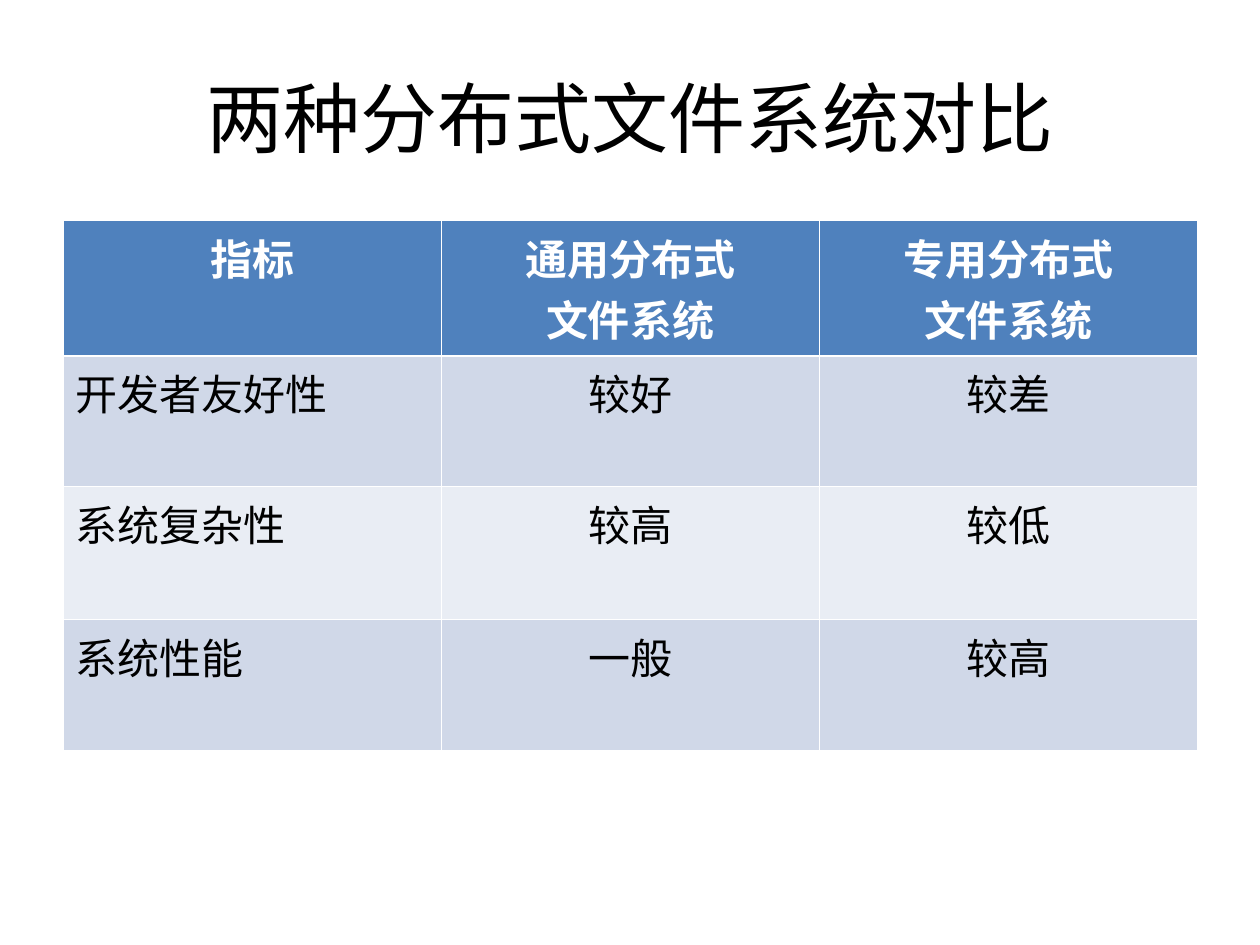
from lxml import etree
from pptx import Presentation
from pptx.dml.color import RGBColor
from pptx.enum.text import MSO_ANCHOR, PP_ALIGN
from pptx.oxml.ns import qn
from pptx.util import Cm, Pt

LEFT, MID = PP_ALIGN.LEFT, PP_ALIGN.CENTER
CENTER = MSO_ANCHOR.MIDDLE

# Content
TITLE = "两种分布式文件系统对比"
ROWS = [
    ["指标", "通用分布式\n文件系统", "专用分布式\n文件系统"],
    ["开发者友好性", "较好", "较差"],
    ["系统复杂性", "较高", "较低"],
    ["系统性能", "一般", "较高"],
]

# Look
FONT = "Calibri"
BLACK, WHITE = "000000", "FFFFFF"
HEAD, BANDS = "4F81BD", ("D0D8E8", "E9EDF4")
THIN, THICK = 0.45, 1.47

# Places in centimetres
SIDE, WIDE = 1.27, 22.86
TOP = 4.45
HEIGHTS = [2.72, 2.64, 2.67, 2.64]


def color(code):
    return RGBColor.from_string(code)


def write(frame, text, size=24, ink=BLACK, bold=False, align=MID):
    frame.text = text
    for para in frame.paragraphs:
        para.alignment = align
        for run in para.runs:
            font = run.font
            font.name, font.size, font.bold = FONT, Pt(size), bold
            font.color.rgb = color(ink)


def border(cell, **widths):
    props = cell._tc.get_or_add_tcPr()
    for side, width in widths.items():
        line = etree.SubElement(props, qn(f"a:ln{side}"), w=str(Pt(width)))
        fill = etree.SubElement(line, qn("a:solidFill"))
        etree.SubElement(fill, qn("a:srgbClr"), val=WHITE)


def main():
    deck = Presentation()
    deck.slide_width, deck.slide_height = Cm(25.4), Cm(19.05)
    slide = deck.slides.add_slide(deck.slide_layouts[5])

    # Title
    title = slide.shapes.title
    title.left, title.top = Cm(SIDE), Cm(0.76)
    title.width, title.height = Cm(WIDE), Cm(3.18)
    title.text_frame.vertical_anchor = CENTER
    write(title.text_frame, TITLE, size=44)

    # Table with a header row and banded rows
    table = slide.shapes.add_table(
        len(ROWS), len(ROWS[0]), Cm(SIDE), Cm(TOP), Cm(WIDE), Cm(sum(HEIGHTS))
    ).table
    for r, row in enumerate(ROWS):
        table.rows[r].height = Cm(HEIGHTS[r])
        head = r == 0
        for c, text in enumerate(row):
            cell = table.cell(r, c)
            write(cell.text_frame, text, ink=WHITE if head else BLACK,
                  bold=head, align=MID if head or c else LEFT)
            border(cell, L=THIN, R=THIN, T=THICK if r == 1 else THIN,
                   B=THICK if head else THIN)
            cell.fill.solid()
            cell.fill.fore_color.rgb = color(HEAD if head else BANDS[(r - 1) % 2])

    deck.save("out.pptx")


if __name__ == "__main__":
    main()
